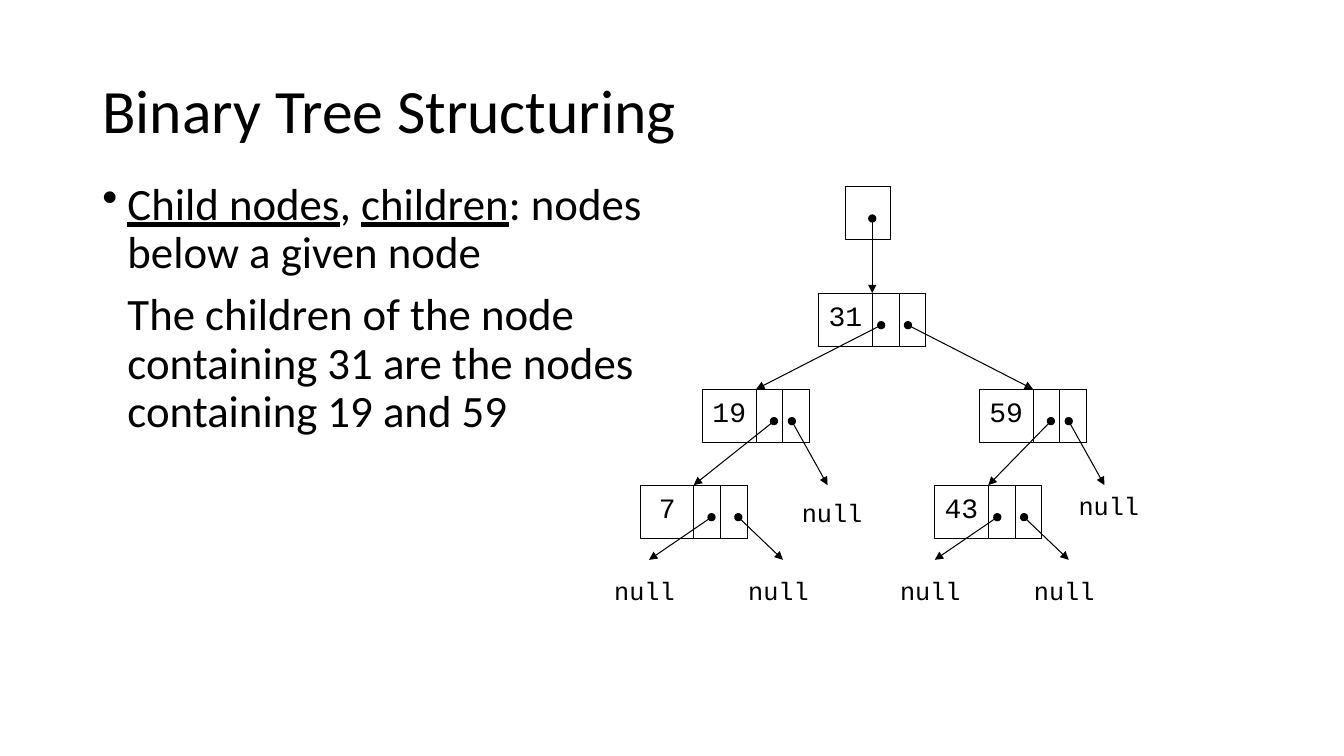
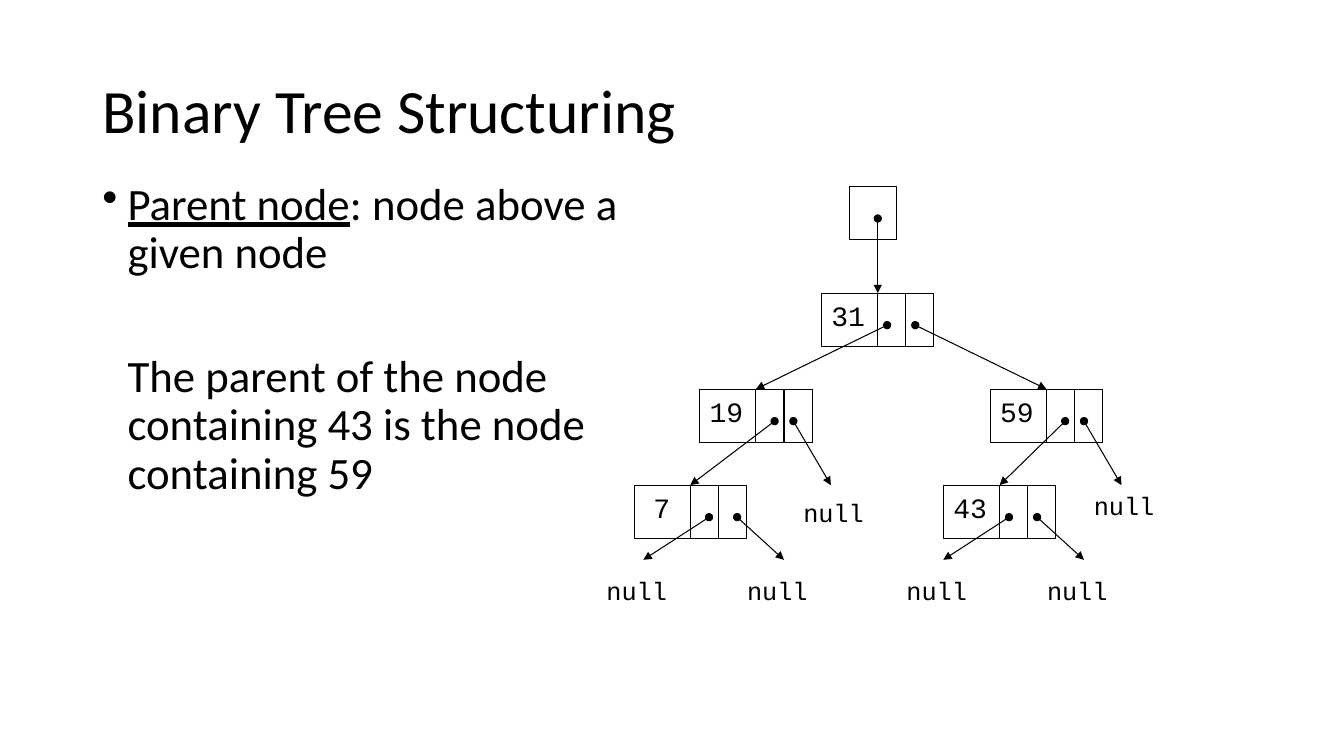
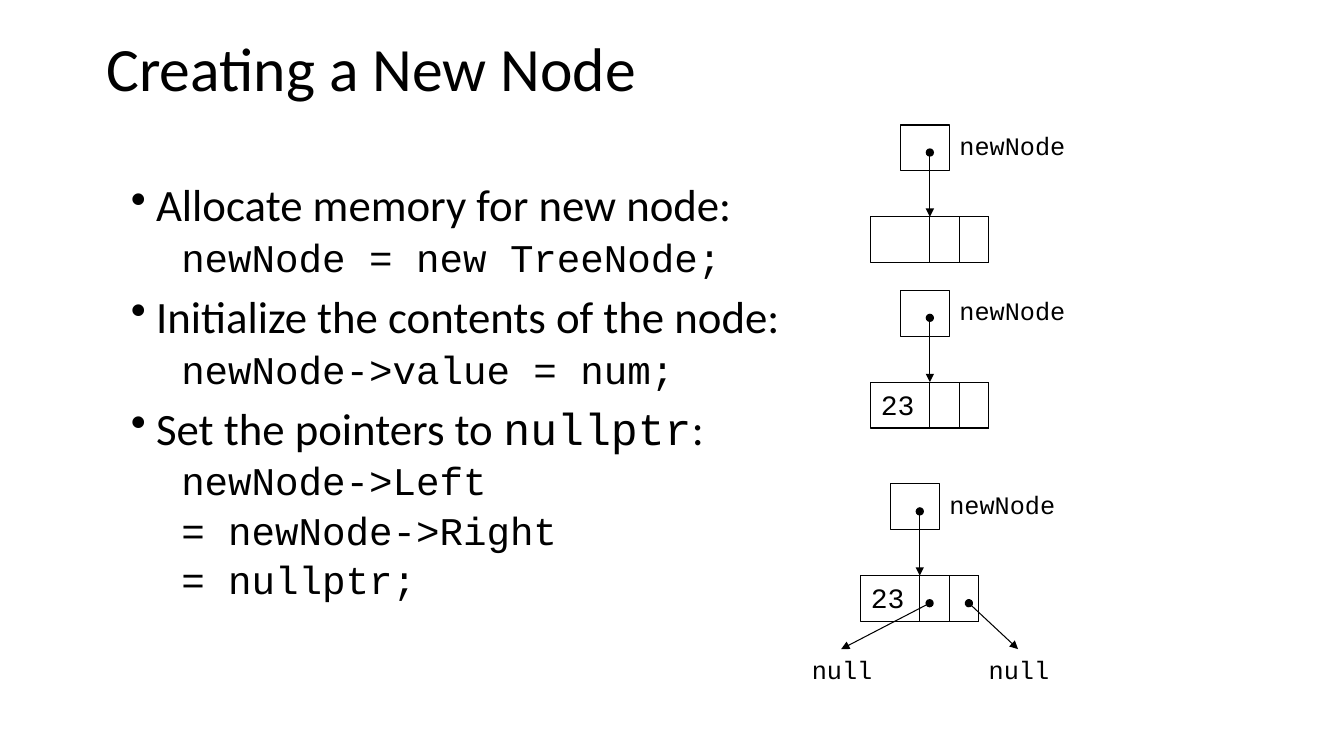
from dataclasses import dataclass

from lxml import etree
from pptx import Presentation
from pptx import util as u
from pptx.dml.color import RGBColor
from pptx.enum import shapes, text
from pptx.oxml.ns import qn


@dataclass(frozen=True)
class Theme:
    ink: RGBColor = RGBColor(0, 0, 0)
    paper: RGBColor = RGBColor(255, 255, 255)
    prose: str = "Calibri"
    code: str = "Courier New"
    title_size: int = 44
    body_size: int = 32
    code_size: int = 28
    value_size: int = 20
    label_size: int = 18
    line_width: float = 0.75
    line_spacing: float = 0.9
    body_gap: int = 10
    code_gap: int = 5
    hanging: float = 0.25
    code_indent: float = 0.5


@dataclass(frozen=True)
class Grid:
    """An area in inches, divided into equal columns and rows."""
    left: float
    top: float
    width: float
    height: float
    columns: int
    rows: int

    def x(self, column):
        return u.Inches(self.left + self.width * column / self.columns)

    def y(self, row):
        return u.Inches(self.top + self.height * row / self.rows)

    def area(self, column, row, columns, rows):
        left, top = self.x(column), self.y(row)
        return left, top, self.x(column + columns) - left, self.y(row + rows) - top


@dataclass(frozen=True)
class Node:
    box: object
    column: int
    row: int


PAGE = Grid(0, 0, 40 / 3, 7.5, 160, 90)
NODE_COLUMNS, VALUE_COLUMNS, CELL_COLUMNS, NODE_ROWS = 12, 6, 3, 5
POINTER_COLUMNS, POINTER_RISE = 5, 10
DOT_ROW = 3

TREE_NODES = {"31": (20, 10), "59": (38, 19), "19": (7, 19), "7": (0, 28), "43": (33, 28)}
# parent, start column inside the parent, child
TREE_LINKS = [("31", 7, "19"), ("31", 10, "59"), ("19", 8, "7"), ("59", 8, "43")]
# node, start column, arrow end and label, all relative to the node
TREE_NULLS = [
    ("19", 10, (14, 9), (10, 9.7)),
    ("59", 10, (14, 9), (10, 9)),
    ("7", 8, (1, 7), (-4, 8)),
    ("7", 11, (16, 7), (11, 8)),
    ("43", 7, (0, 7), (-5, 8)),
    ("43", 10, (15, 7), (10, 8)),
]


class Deck:
    def __init__(self, theme):
        self.theme = theme
        self.deck = Presentation()
        self.deck.slide_width = u.Inches(PAGE.width)
        self.deck.slide_height = u.Inches(PAGE.height)
        self.page = None
        self.grid = PAGE

    def new_page(self):
        self.page = self.deck.slides.add_slide(self.deck.slide_layouts[6])
        fill = self.page.background.fill
        fill.solid()
        fill.fore_color.rgb = self.theme.paper

    def add_span(self, para, content, **changes):
        span = para.add_run()
        span.text = content
        span.font.color.rgb = self.theme.ink
        values = {"name": self.theme.prose, "size": self.theme.body_size, **changes}
        values["size"] = u.Pt(values["size"])
        for name, value in values.items():
            setattr(span.font, name, value)

    def text_box(self, grid, *place, anchor=text.MSO_ANCHOR.TOP):
        frame = self.page.shapes.add_textbox(*grid.area(*place)).text_frame
        frame.word_wrap = True
        frame.vertical_anchor = anchor
        return frame

    def title(self, content, column=11, row=4.8):
        frame = self.text_box(PAGE, column, row, 138, 17.4, anchor=text.MSO_ANCHOR.MIDDLE)
        para = frame.paragraphs[0]
        para.line_spacing = self.theme.line_spacing
        self.add_span(para, content, size=self.theme.title_size)

    def body(self, column, row, columns):
        return self.text_box(PAGE, column, row, columns, 54)

    def paragraph(self, frame, *spans, bullet=False, indent=None, gap=None):
        """Add spans, each a string or a (string, font values) pair."""
        theme = self.theme
        first = frame.paragraphs[0]
        para = frame.add_paragraph() if first.runs else first
        para.line_spacing = theme.line_spacing
        para.space_before = u.Pt(theme.body_gap if gap is None else gap)
        margin = u.Inches(theme.hanging if indent is None else indent)
        properties = para._p.get_or_add_pPr()
        properties.set("marL", str(margin))
        properties.set("indent", str(-margin if bullet else 0))
        if bullet:
            etree.SubElement(properties, qn("a:buChar")).set("char", "•")
        for span in spans:
            content, values = (span, {}) if isinstance(span, str) else span
            self.add_span(para, content, **values)

    def code_line(self, frame, content):
        theme = self.theme
        self.paragraph(frame, (content, {"name": theme.code, "size": theme.code_size}),
                       indent=theme.code_indent, gap=theme.code_gap)

    def rectangle(self, *place):
        box = self.page.shapes.add_shape(shapes.MSO_SHAPE.RECTANGLE, *self.grid.area(*place))
        box.shadow.inherit = False
        box.fill.background()
        box.line.color.rgb = self.theme.ink
        box.line.width = u.Pt(self.theme.line_width)
        return box

    def label(self, content, column, row, size=None):
        size = size or self.theme.label_size
        frame = self.text_box(self.grid, column, row,
                              2.4 + len(content) * size / 10, 1.2 + size / 5)
        self.add_span(frame.paragraphs[0], content, name=self.theme.code, size=size)

    def arrow(self, start, end, target=None):
        """Draw from a dot to a point, or to the top of a target box."""
        x, y = self.grid.x, self.grid.y
        line = self.page.shapes.add_connector(
            shapes.MSO_CONNECTOR.STRAIGHT, x(start[0]), y(start[1]), x(end[0]), y(end[1]))
        if target is not None:
            line.end_connect(target, 0)
        line.line.color.rgb = self.theme.ink
        line.line.width = u.Pt(self.theme.line_width)
        stroke = line.line._get_or_add_ln()
        for tag, kind in (("a:headEnd", "oval"), ("a:tailEnd", "triangle")):
            etree.SubElement(stroke, qn(tag)).set("type", kind)
        etree.SubElement(line._element.spPr, qn("a:effectLst"))

    def node(self, column, row, value=""):
        box = self.rectangle(column, row, NODE_COLUMNS, NODE_ROWS)
        for offset in (VALUE_COLUMNS, VALUE_COLUMNS + CELL_COLUMNS):
            self.rectangle(column + offset, row, CELL_COLUMNS, NODE_ROWS)
        if value:
            self.label(value, column + 2 - len(value), row, self.theme.value_size)
        return Node(box, column, row)

    def link(self, parent, start, child):
        self.arrow((parent.column + start, parent.row + DOT_ROW),
                   (child.column + VALUE_COLUMNS, child.row), child.box)

    def null_link(self, node, start, end, label):
        column, row = node.column, node.row
        self.arrow((column + start, row + DOT_ROW), (column + end[0], row + end[1]))
        self.label("null", column + label[0], row + label[1])

    def pointer(self, node, name=""):
        """Draw the pointer variable above a node, and its arrow."""
        column, row = node.column + CELL_COLUMNS, node.row - POINTER_RISE
        box = self.rectangle(column, row, POINTER_COLUMNS, NODE_ROWS)
        self.link(Node(box, column, row), CELL_COLUMNS, node)
        if name:
            self.label(name, column + POINTER_COLUMNS, row)

    def tree(self, left, width):
        self.grid = Grid(left, 1.85, width, 3.81, 50, 36)
        nodes = {value: self.node(*place, value) for value, place in TREE_NODES.items()}
        self.pointer(nodes["31"])
        for parent, start, child in TREE_LINKS:
            self.link(nodes[parent], start, nodes[child])
        for value, *places in TREE_NULLS:
            self.null_link(nodes[value], *places)

    def new_node(self, left, top, value="", nulls=()):
        self.grid = Grid(left, top, 1.17, 1.64, NODE_COLUMNS, 18)
        node = self.node(0, POINTER_RISE, value)
        self.pointer(node, "newNode")
        for places in nulls:
            self.null_link(node, *places)


def main():
    theme = Theme()
    deck = Deck(theme)
    underlined = {"underline": True}

    deck.new_page()
    deck.title("Binary Tree Structuring")
    body = deck.body(11, 21, 67.5)
    deck.paragraph(body, ("Child nodes", underlined), ", ", ("children", underlined),
                   ": nodes below a given node", bullet=True)
    deck.paragraph(body, "The children of the node containing 31 are the nodes "
                         "containing 19 and 59")
    deck.tree(6.35, 4.43)

    deck.new_page()
    deck.title("Binary Tree Structuring")
    body = deck.body(11, 21, 69.5)
    deck.paragraph(body, ("Parent node", underlined), ": node above a given node", bullet=True)
    deck.paragraph(body, "The parent of the node containing 43 is the node containing 59",
                   gap=54)
    deck.tree(6.29, 4.65)

    deck.new_page()
    deck.title("Creating a New Node", 11.5, -0.2)
    body = deck.body(14.4, 21.2, 98.5)
    steps = [
        (["Allocate memory for new node:"], ["newNode = new TreeNode;"]),
        (["Initialize the contents of the node:"], ["newNode->value = num;"]),
        (["Set the pointers to ", ("nullptr", {"name": theme.code}), ":"],
         ["newNode->Left", "= newNode->Right", "= nullptr;"]),
    ]
    for spans, lines in steps:
        deck.paragraph(body, *spans, bullet=True)
        for line in lines:
            deck.code_line(body, line)
    deck.new_node(8.64, 1.24)
    deck.new_node(8.64, 2.88, "23")
    deck.new_node(8.54, 4.8, "23", [(7, (-2, 8), (-6, 8)), (11, (16, 8), (12, 8))])

    deck.deck.save("out.pptx")


if __name__ == "__main__":
    main()
